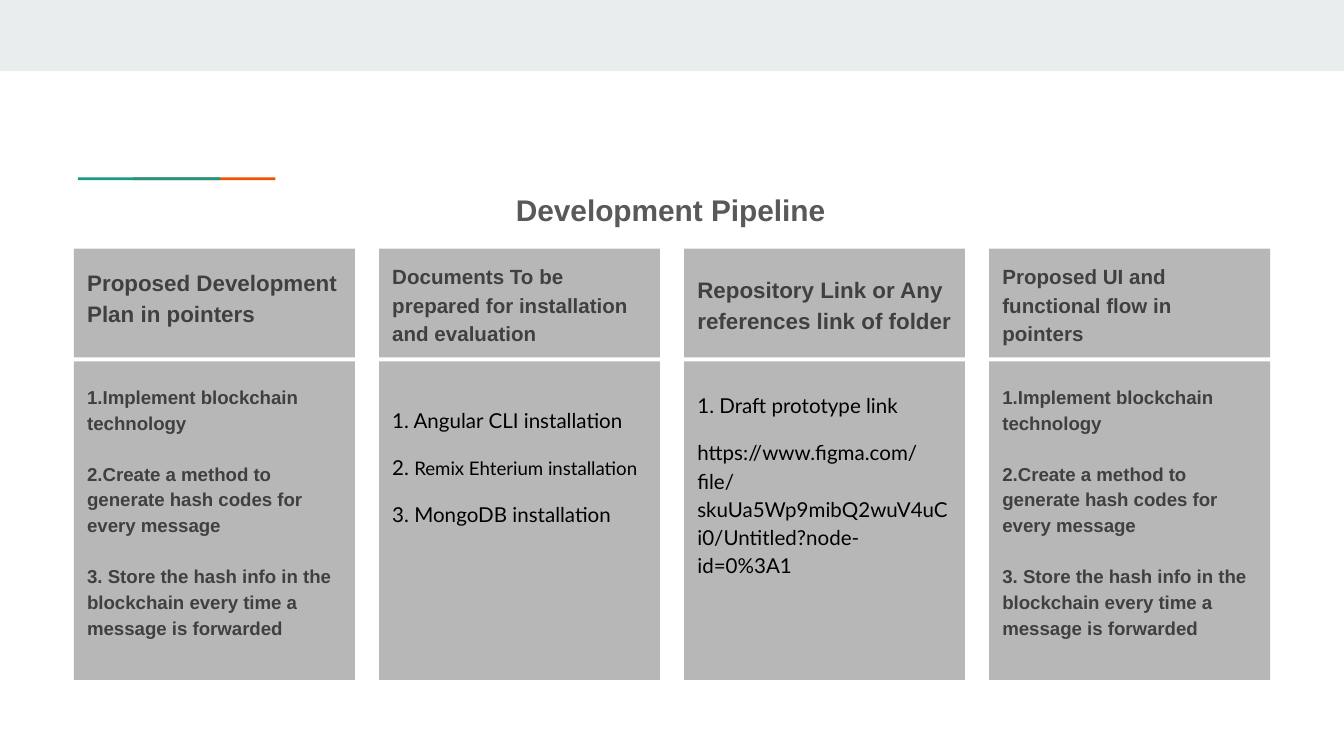
from dataclasses import dataclass

from pptx import Presentation
from pptx import util as u
from pptx.dml.color import RGBColor
from pptx.enum import shapes, text


@dataclass(frozen=True)
class Theme:
    band: str = "E9EDEE"
    orange: str = "EB5600"
    teal: str = "1A9988"
    panel: str = "B7B7B7"
    heading: str = "404040"
    title: str = "595959"
    body: str = "000000"
    sans: str = "Arial"
    light: str = "Lato"
    title_size: float = 16
    large: float = 12
    medium: float = 11
    small: float = 10
    line_spacing: float = 1.15


THEME = Theme()
PAGE_WIDTH = 10
LEFT, PITCH, PANEL_WIDTH = 0.55, 2.27, 2.09
HEADER_TOP, HEADER_HEIGHT = 1.85, 0.81
BODY_TOP, BODY_HEIGHT = 2.69, 2.37
INSET = 0.1


@dataclass(frozen=True)
class Style:
    font: str
    color: str
    bold: bool
    gap: float


STRONG = Style(THEME.sans, THEME.heading, True, 13.4)
PLAIN = Style(THEME.light, THEME.body, False, 10)
TITLE = Style(THEME.sans, THEME.title, True, 0)


@dataclass(frozen=True)
class Column:
    header: str
    header_size: float
    header_bottom: float
    items: list
    style: Style
    body_bottom: float


METHOD_STEPS = [
    [("1.Implement blockchain technology", THEME.small)],
    [("2.Create a method to generate hash codes for every message", THEME.small)],
    [("3. Store the hash info in the blockchain every time a message is forwarded",
      THEME.small)],
]
INSTALLATIONS = [
    [("1. Angular CLI installation", THEME.medium)],
    [("2. ", THEME.medium), ("Remix Ehterium installation", THEME.small)],
    [("3. MongoDB installation", THEME.medium)],
]
LINKS = [
    [("1. Draft prototype link", THEME.medium)],
    [("https://www.figma.com/file/skuUa5Wp9mibQ2wuV4uCi0/Untitled?node-id=0%3A1",
      THEME.medium)],
]
COLUMNS = [
    Column("Proposed Development Plan in pointers", THEME.large, 0.2,
           METHOD_STEPS, STRONG, 0.25),
    Column("Documents To be prepared for installation and evaluation",
           THEME.medium, INSET, INSTALLATIONS, PLAIN, 0.92),
    Column("Repository Link or Any references link of folder", THEME.large, INSET,
           LINKS, PLAIN, 0.65),
    Column("Proposed UI and functional flow in pointers", THEME.medium, INSET,
           METHOD_STEPS, STRONG, 0.25),
]


def add_rectangle(page, left, top, width, height, color):
    box = page.shapes.add_shape(
        shapes.MSO_SHAPE.RECTANGLE,
        u.Inches(left), u.Inches(top), u.Inches(width), u.Inches(height))
    box.shadow.inherit = False
    box.fill.solid()
    box.fill.fore_color.rgb = RGBColor.from_string(color)
    box.line.fill.background()
    return box


def write_paragraphs(box, items, style, anchor, bottom=INSET):
    frame = box.text_frame
    frame.word_wrap = True
    frame.vertical_anchor = anchor
    frame.margin_left = frame.margin_right = frame.margin_top = u.Inches(INSET)
    frame.margin_bottom = u.Inches(bottom)
    for index, spans in enumerate(items):
        para = frame.add_paragraph() if index else frame.paragraphs[0]
        para.alignment = text.PP_ALIGN.LEFT
        para.line_spacing = THEME.line_spacing
        if index:
            para.space_before = u.Pt(style.gap)
        for wording, size in spans:
            span = para.add_run()
            span.text = wording
            span.font.name = style.font
            span.font.size = u.Pt(size)
            span.font.bold = style.bold
            span.font.color.rgb = RGBColor.from_string(style.color)


def add_panel(page, left, top, height, items, style, bottom):
    box = add_rectangle(page, left, top, PANEL_WIDTH, height, THEME.panel)
    write_paragraphs(box, items, style, text.MSO_ANCHOR.MIDDLE, bottom)


def add_column(page, left, column):
    add_panel(page, left, BODY_TOP, BODY_HEIGHT,
              column.items, column.style, column.body_bottom)
    add_panel(page, left, HEADER_TOP, HEADER_HEIGHT,
              [[(column.header, column.header_size)]], STRONG, column.header_bottom)


def add_title(page, wording):
    box = page.shapes.add_textbox(
        u.Inches(3.74), u.Inches(1.29), u.Inches(2.55), u.Inches(0.47))
    write_paragraphs(box, [[(wording, THEME.title_size)]], TITLE, text.MSO_ANCHOR.TOP)


def main():
    deck = Presentation()
    deck.slide_width = u.Inches(PAGE_WIDTH)
    deck.slide_height = u.Inches(PAGE_WIDTH * 9 / 16)
    page = deck.slides.add_slide(deck.slide_layouts[6])
    add_rectangle(page, 0, 0, PAGE_WIDTH, 0.53, THEME.band)
    for left, color in ((0.99, THEME.orange), (0.58, THEME.teal)):
        add_rectangle(page, left, 1.32, 1.06, 0.02, color)
    for index, column in enumerate(COLUMNS):
        add_column(page, LEFT + index * PITCH, column)
    add_title(page, "Development Pipeline")
    deck.save("out.pptx")


if __name__ == "__main__":
    main()
